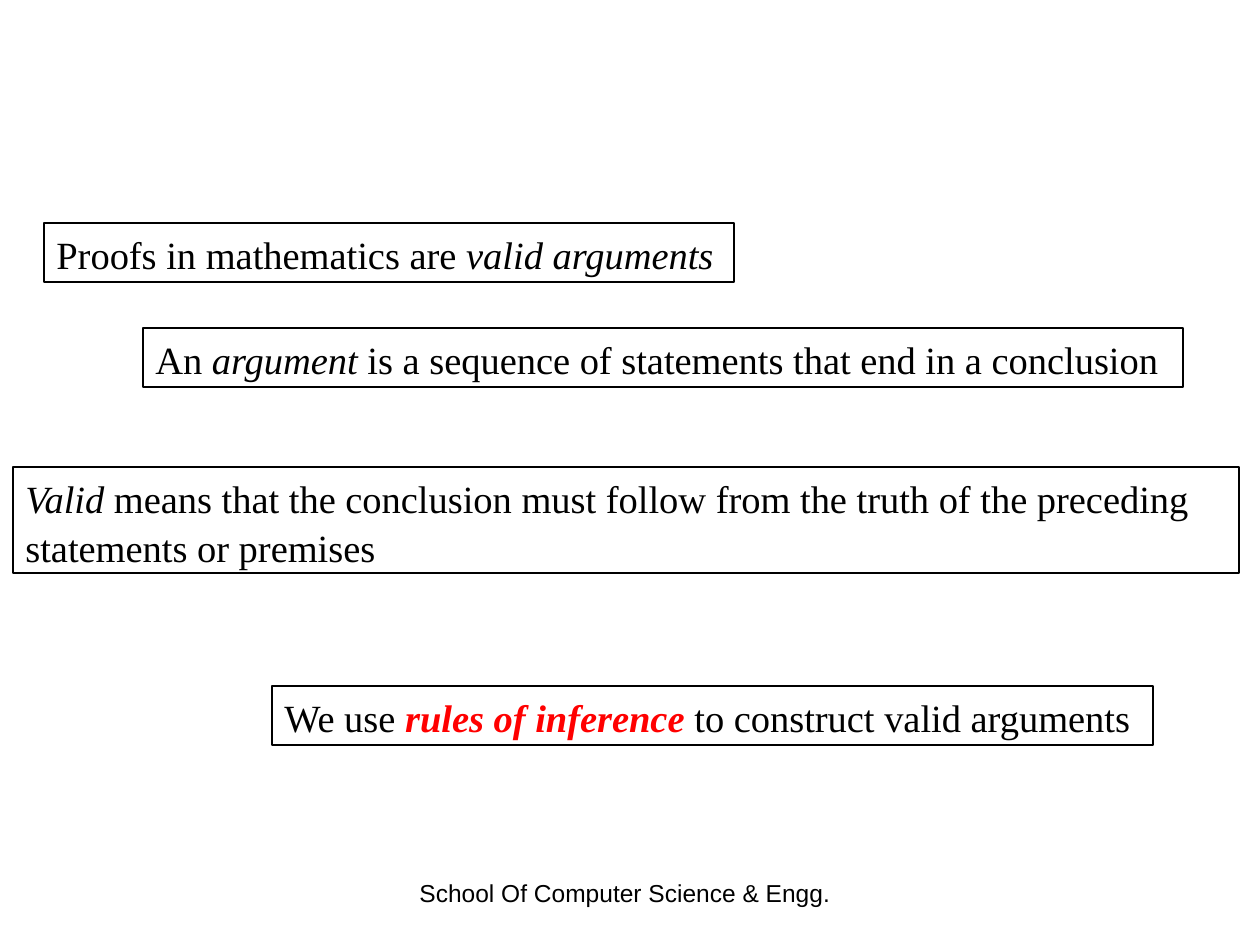
from dataclasses import dataclass

from pptx import Presentation
from pptx.dml.color import RGBColor
from pptx.enum.shapes import MSO_SHAPE
from pptx.enum.text import MSO_ANCHOR, PP_ALIGN
from pptx.slide import Slide
from pptx.text.text import TextFrame
from pptx.util import Emu, Pt

RECTANGLE = MSO_SHAPE.RECTANGLE
TOP = MSO_ANCHOR.TOP
LEFT, CENTER = PP_ALIGN.LEFT, PP_ALIGN.CENTER
BLACK = RGBColor(0, 0, 0)
RED = RGBColor(255, 0, 0)
EMU_PER_PX = 914400 // 126
SLIDE_WIDTH, SLIDE_HEIGHT = 1260, 945
LINE_SPACING = 1.05


@dataclass(frozen=True)
class Phrase:
    text: str
    italic: bool = False
    bold: bool = False
    color: RGBColor = BLACK


@dataclass(frozen=True)
class Statement:
    left: int
    top: int
    width: int
    height: int
    lines: list[list[Phrase]]


STATEMENTS = [
    Statement(44, 223, 690, 59, [
        [Phrase("Proofs in mathematics are "), Phrase("valid arguments", italic=True)],
    ]),
    Statement(143, 328, 1040, 59, [
        [Phrase("An "), Phrase("argument", italic=True),
         Phrase(" is a sequence of statements that end in a conclusion")],
    ]),
    Statement(13, 467, 1226, 106, [
        [Phrase("Valid", italic=True),
         Phrase(" means that the conclusion must follow from the truth of the preceding")],
        [Phrase("statements or premises")],
    ]),
    Statement(272, 686, 881, 59, [
        [Phrase("We use "),
         Phrase("rules of inference ", italic=True, bold=True, color=RED),
         Phrase("to construct valid arguments")],
    ]),
]


def px(length: int) -> Emu:
    return Emu(length * EMU_PER_PX)


def write_lines(frame: TextFrame, lines: list[list[Phrase]], typeface: str,
                size: int, alignment: PP_ALIGN, spacing: float = 1.0) -> None:
    frame.word_wrap = True
    frame.vertical_anchor = TOP
    for index, phrases in enumerate(lines):
        paragraph = frame.add_paragraph() if index else frame.paragraphs[0]
        paragraph.alignment = alignment
        paragraph.line_spacing = spacing
        for phrase in phrases:
            run = paragraph.add_run()
            run.text = phrase.text
            run.font.name = typeface
            run.font.size = Pt(size)
            run.font.italic = phrase.italic
            run.font.bold = phrase.bold
            run.font.color.rgb = phrase.color


def draw_statement(slide: Slide, statement: Statement) -> None:
    frame_box = slide.shapes.add_shape(
        RECTANGLE, px(statement.left), px(statement.top),
        px(statement.width), px(statement.height))
    frame_box.shadow.inherit = False
    frame_box.fill.background()
    frame_box.line.color.rgb = BLACK
    frame_box.line.width = Pt(0.75)
    write_lines(frame_box.text_frame, statement.lines, "Times New Roman", 22,
                LEFT, LINE_SPACING)


def draw_footer(slide: Slide) -> None:
    school = slide.shapes.add_textbox(px(315), px(872), px(620), px(42))
    write_lines(school.text_frame, [[Phrase("School Of Computer Science & Engg.")]],
                "Arial", 14, CENTER)


def main() -> None:
    presentation = Presentation()
    presentation.slide_width = px(SLIDE_WIDTH)
    presentation.slide_height = px(SLIDE_HEIGHT)
    slide = presentation.slides.add_slide(presentation.slide_layouts[6])
    draw_footer(slide)
    for statement in STATEMENTS:
        draw_statement(slide, statement)
    presentation.save("out.pptx")


if __name__ == "__main__":
    main()
